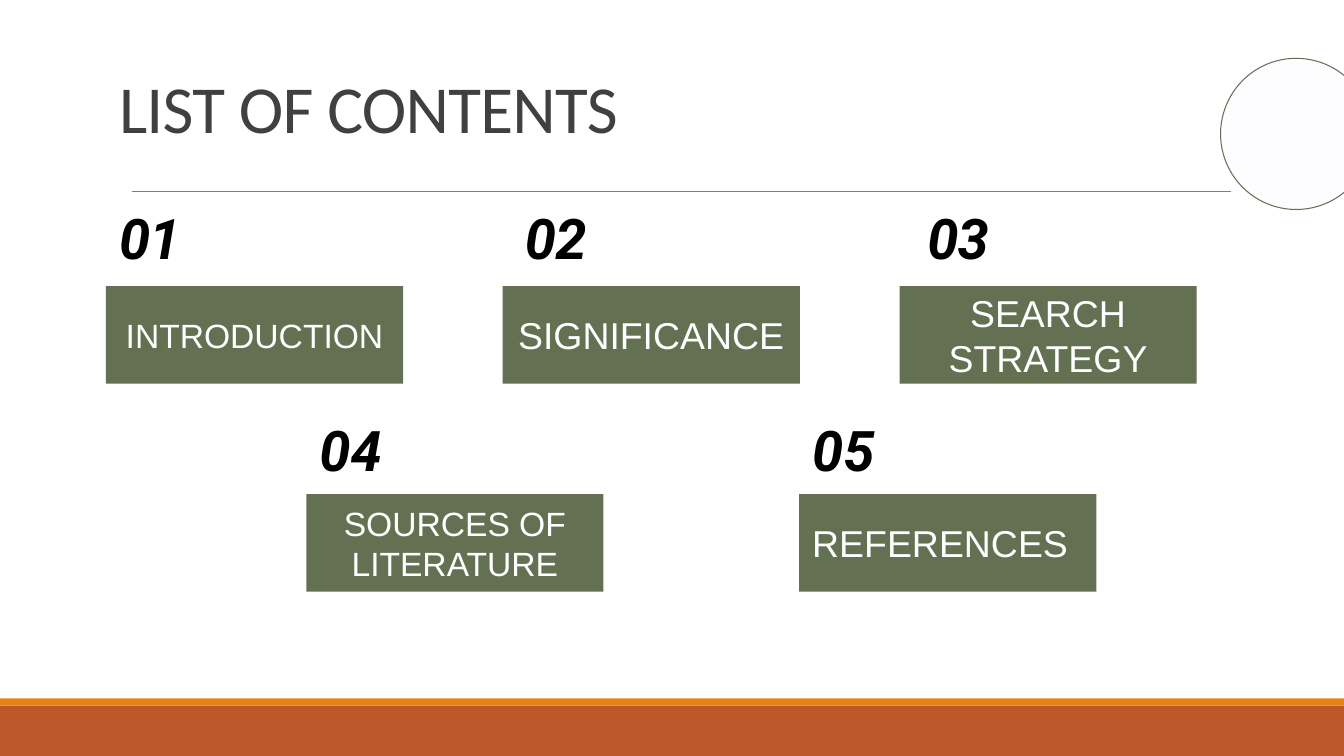
from dataclasses import dataclass

from lxml.etree import SubElement
from pptx import Presentation
from pptx.dml.color import RGBColor
from pptx.enum.shapes import MSO_CONNECTOR, MSO_SHAPE
from pptx.enum.text import MSO_ANCHOR as Anchor, PP_ALIGN as Align
from pptx.oxml.ns import qn
from pptx.util import Cm, Pt


@dataclass(frozen=True)
class Theme:
    rust: str = "BD582C"
    orange: str = "E48312"
    olive: str = "637052"
    lilac: str = "F5F2FA"
    rule: str = "808080"
    heading: str = "404040"
    number: str = "000000"
    label: str = "FFFFFF"
    heading_size: float = 48
    number_size: float = 40
    label_size: float = 26.7
    small_label_size: float = 24


theme = Theme()


def add_block(kind, left, top, width, height, color):
    block = slide.shapes.add_shape(kind, Cm(left), Cm(top), Cm(width), Cm(height))
    block.shadow.inherit = False
    block.fill.solid()
    block.fill.fore_color.rgb = RGBColor.from_string(color)
    block.line.fill.background()
    return block


def write(shape, text, font, size, color, anchor=Anchor.MIDDLE, align=Align.LEFT,
          strong=False, tight=False):
    frame = shape.text_frame
    frame.word_wrap = True
    frame.vertical_anchor = anchor
    frame.margin_left = frame.margin_right = Cm(0.33)
    frame.margin_top = frame.margin_bottom = Cm(0.33)
    paragraph = frame.paragraphs[0]
    paragraph.alignment = align
    run = paragraph.add_run()
    run.text = text
    run.font.name = font
    run.font.size = Pt(size)
    run.font.bold = run.font.italic = strong
    run.font.color.rgb = RGBColor.from_string(color)
    if tight:
        paragraph.line_spacing = 0.85
        run.font._element.set("spc", "-50")


deck = Presentation()
deck.slide_width, deck.slide_height = Cm(33.87), Cm(19.05)
slide = deck.slides.add_slide(deck.slide_layouts[6])

# Footer bands
add_block(MSO_SHAPE.RECTANGLE, 0, 17.78, 33.87, 1.27, theme.rust)
add_block(MSO_SHAPE.RECTANGLE, 0, 17.6, 33.87, 0.18, theme.orange)

# Heading and the rule below it
rule = slide.shapes.add_connector(MSO_CONNECTOR.STRAIGHT, Cm(3.33), Cm(4.83), Cm(31.01), Cm(4.83))
rule.line.color.rgb = RGBColor.from_string(theme.rule)
rule.line.width = Pt(0.5)
SubElement(rule._element.spPr, qn("a:effectLst"))

heading = slide.shapes.add_textbox(Cm(2.67), Cm(1.65), Cm(28.52), Cm(2.13))
write(heading, "LIST OF CONTENTS", "Calibri", theme.heading_size, theme.heading,
      anchor=Anchor.TOP, tight=True)

# Translucent circle at the right edge
circle = add_block(MSO_SHAPE.OVAL, 30.76, 1.47, 3.81, 3.81, theme.lilac)
circle.line.color.rgb = RGBColor.from_string(theme.olive)
circle.line.width = Pt(0.75)
circle_color = circle._element.spPr.find(qn("a:solidFill"))[0]
SubElement(circle_color, qn("a:alpha"), val="18000")

# Contents: rows of (number top, label top, first left, pitch, tight numbers, entries)
# Each entry: label, label size, number shift, alignment
big, small = theme.label_size, theme.small_label_size
rows = [
    (5.28, 7.21, 2.67, 10, True, [
        ("INTRODUCTION", small, 0, Align.CENTER),
        ("SIGNIFICANCE", big, 0.23, Align.CENTER),
        ("SEARCH STRATEGY", big, 0.37, Align.CENTER),
    ]),
    (10.49, 12.45, 7.72, 12.42, False, [
        ("SOURCES OF LITERATURE", small, 0, Align.CENTER),
        ("REFERENCES", big, 0, Align.LEFT),
    ]),
]
position = 0
for number_top, label_top, first_left, pitch, tight, entries in rows:
    for column, (label, size, shift, align) in enumerate(entries):
        position += 1
        left = first_left + column * pitch
        number = slide.shapes.add_textbox(Cm(left + shift), Cm(number_top), Cm(3.81), Cm(1.65))
        write(number, f"{position:02}", "Roboto", theme.number_size, theme.number,
              strong=True, tight=tight)
        label_box = add_block(MSO_SHAPE.RECTANGLE, left, label_top, 7.49, 2.46, theme.olive)
        write(label_box, label, "Arial", size, theme.label, align=align)

deck.save("out.pptx")
